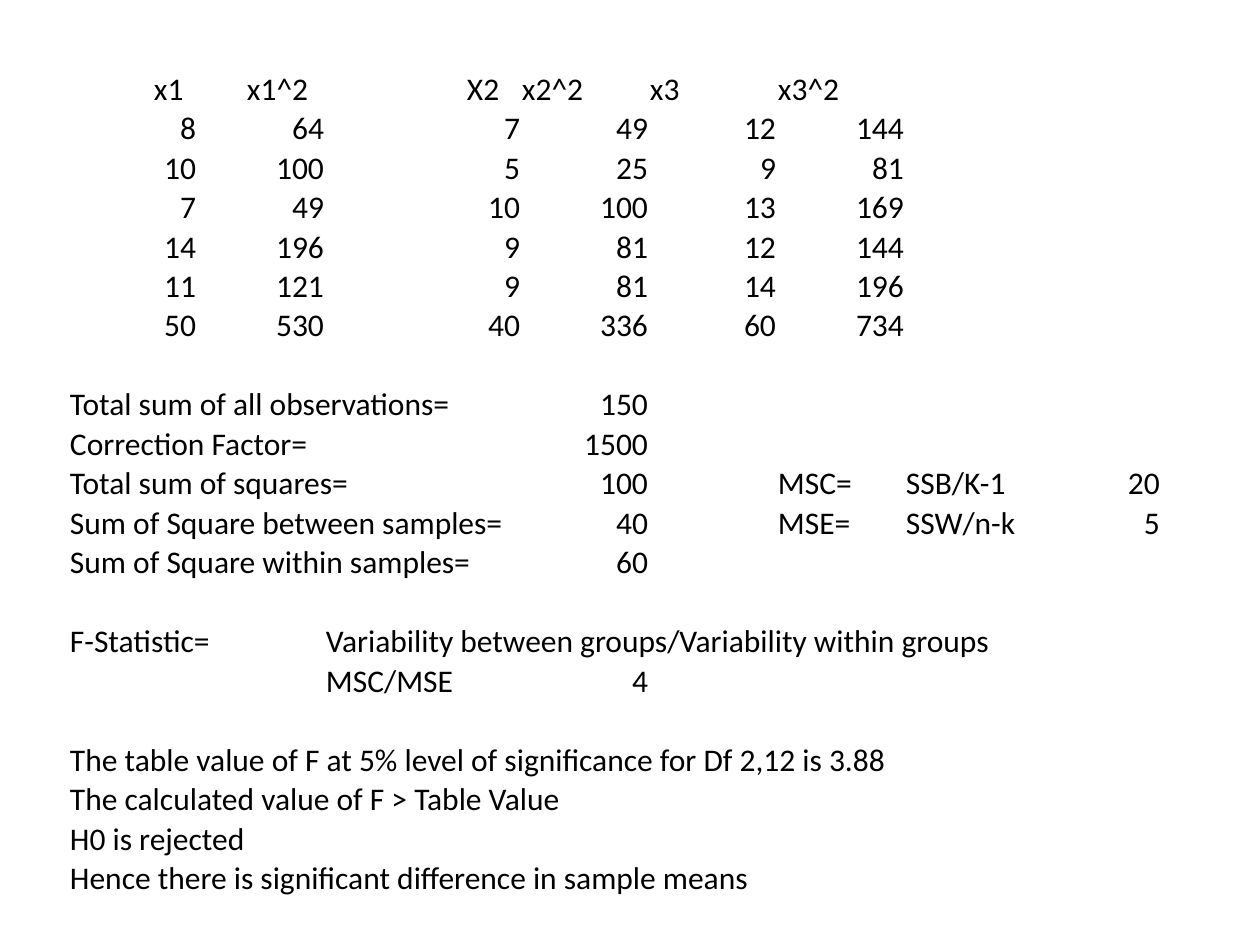
from pptx import Presentation
from pptx.dml.color import RGBColor
from pptx.enum.text import MSO_ANCHOR, PP_ALIGN
from pptx.util import Pt

PX = 914400 // 126
BLACK = RGBColor(0, 0, 0)
COLS = [128, 128, 196, 128, 128, 128, 128, 128]
ROW_H = 39
HEADER_INDENTS = [85, 50, 142]
MARGINS = {"margin_left": PX, "margin_right": PX, "margin_top": PX, "margin_bottom": 0}
FONT = {"name": "Calibri", "size": Pt(18), "bold": False}

ROWS = [
    ["x1", "x1^2", "X2", "x2^2", "x3", "x3^2"],
    ["8", "64", "7", "49", "12", "144"],
    ["10", "100", "5", "25", "9", "81"],
    ["7", "49", "10", "100", "13", "169"],
    ["14", "196", "9", "81", "12", "144"],
    ["11", "121", "9", "81", "14", "196"],
    ["50", "530", "40", "336", "60", "734"],
    [],
    ["Total sum of all observations=", "", "", "150"],
    ["Correction Factor=", "", "", "1500"],
    ["Total sum of squares=", "", "", "100", "", "MSC=", "SSB/K-1", "20"],
    ["Sum of Square between samples=", "", "", "40", "", "MSE=", "SSW/n-k", "5"],
    ["Sum of Square within samples=", "", "", "60"],
    [],
    ["F-Statistic=", "", "Variability between groups/Variability within groups"],
    ["", "", "MSC/MSE", "4"],
    [],
    ["The table value of F at 5% level of significance for Df 2,12 is 3.88"],
    ["The calculated value of F > Table Value"],
    ["H0 is rejected"],
    ["Hence there is significant difference in sample means"],
]
SPANS = {
    (8, 0): 3, (9, 0): 2, (10, 0): 3, (11, 0): 3, (12, 0): 3,
    (14, 0): 2, (14, 2): 5, (17, 0): 6, (18, 0): 4, (19, 0): 2, (20, 0): 5,
}

prs = Presentation()
prs.slide_width, prs.slide_height = 1260 * PX, 945 * PX
s = prs.slides.add_slide(prs.slide_layouts[6])

frame = s.shapes.add_table(
    len(ROWS), len(COLS), 69 * PX, 69 * PX, sum(COLS) * PX, len(ROWS) * ROW_H * PX
)
table = frame.table
table.first_row = False
table.horz_banding = False
for col, width in zip(table.columns, COLS):
    col.width = width * PX
for row in table.rows:
    row.height = ROW_H * PX

for cell in table.iter_cells():
    cell.fill.background()
    cell.vertical_anchor = MSO_ANCHOR.BOTTOM
    for name, value in MARGINS.items():
        setattr(cell, name, value)

for i, texts in enumerate(ROWS):
    for j, text in enumerate(texts):
        if not text:
            continue
        cell = table.cell(i, j)
        p = cell.text_frame.paragraphs[0]
        p.alignment = PP_ALIGN.RIGHT if text.isdigit() else PP_ALIGN.LEFT
        r = p.add_run()
        r.text = text
        for name, value in FONT.items():
            setattr(r.font, name, value)
        r.font.color.rgb = BLACK

for j, indent in enumerate(HEADER_INDENTS):
    table.cell(0, j).margin_left = indent * PX

for (i, j), span in SPANS.items():
    table.cell(i, j).merge(table.cell(i, j + span - 1))

prs.save("out.pptx")
